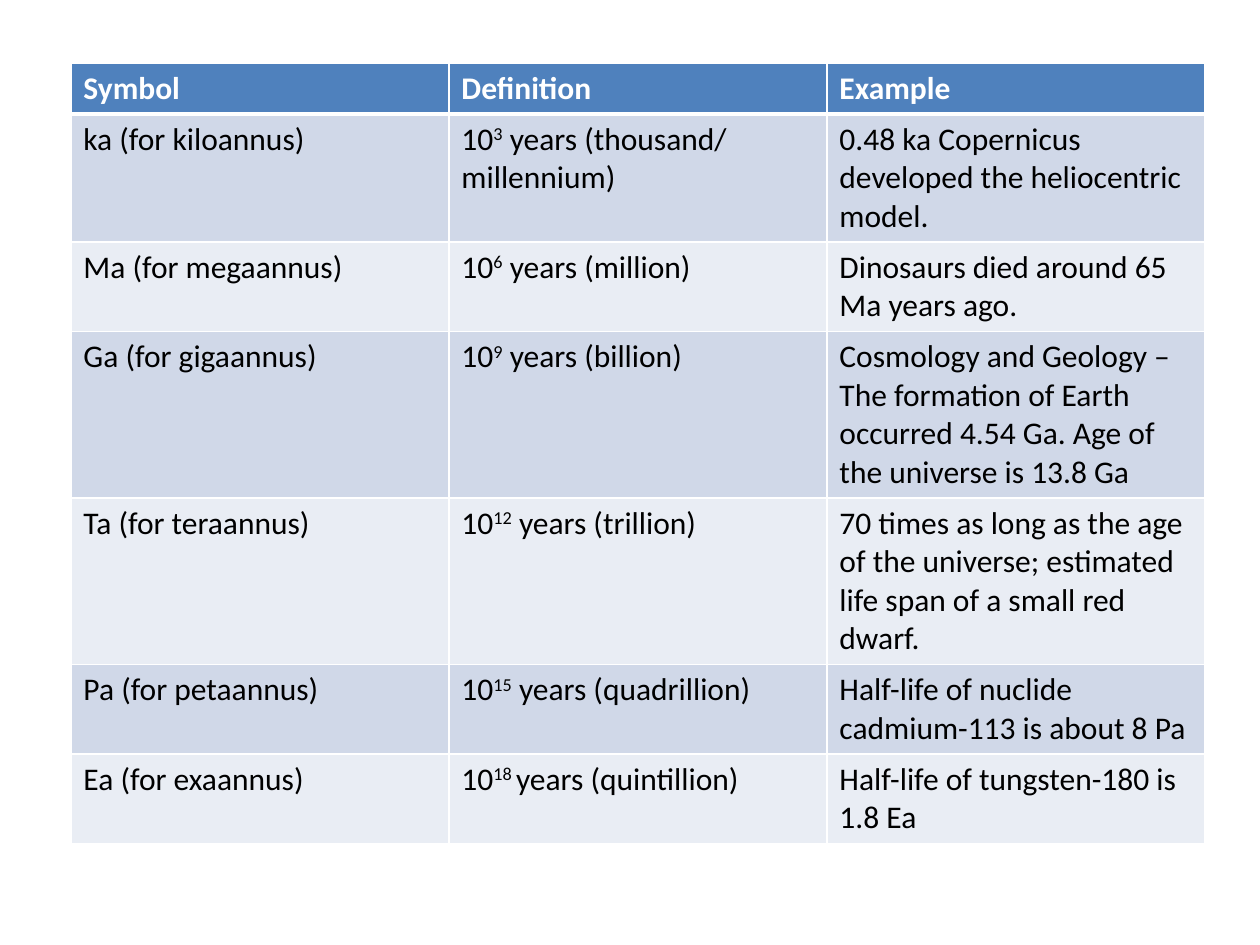
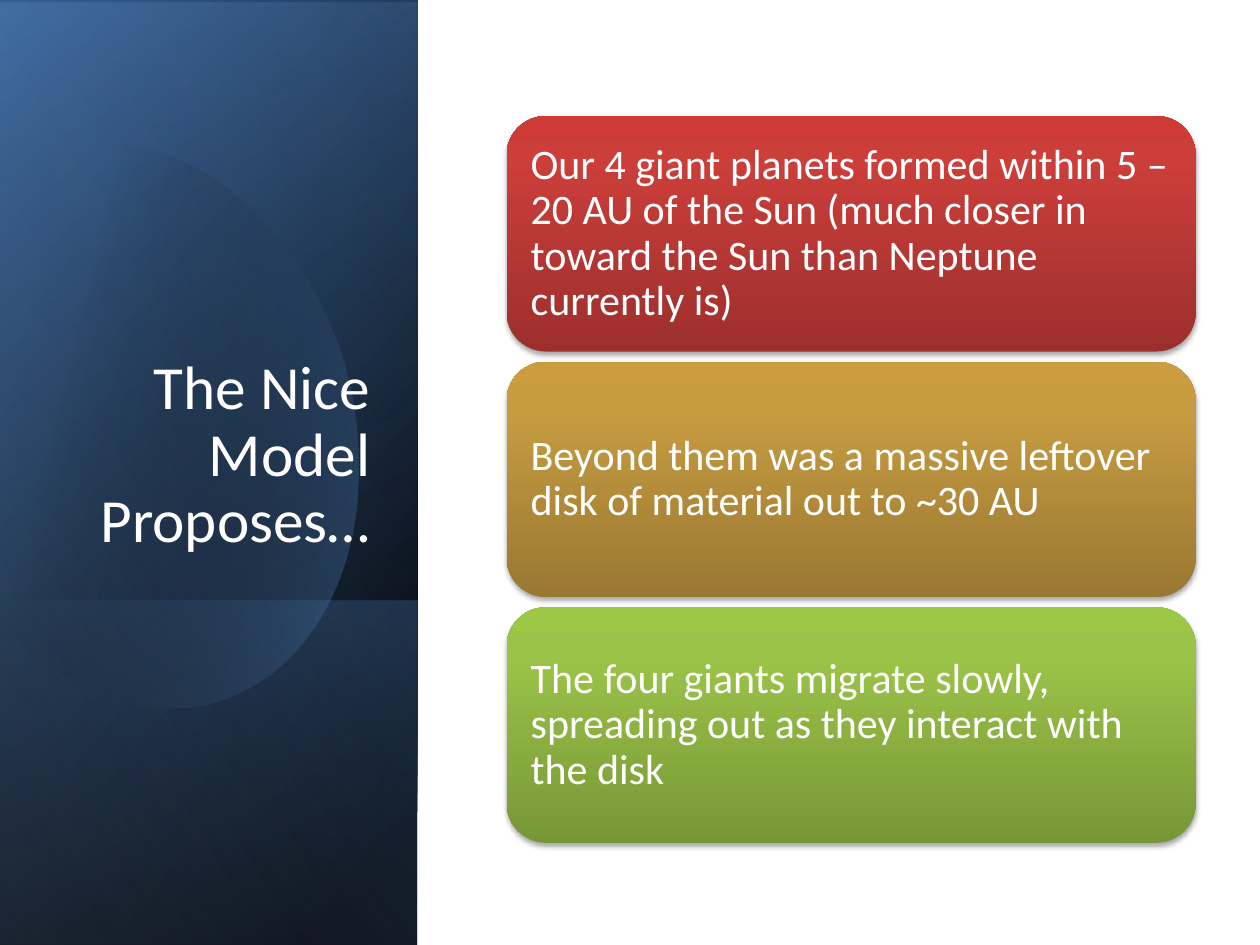
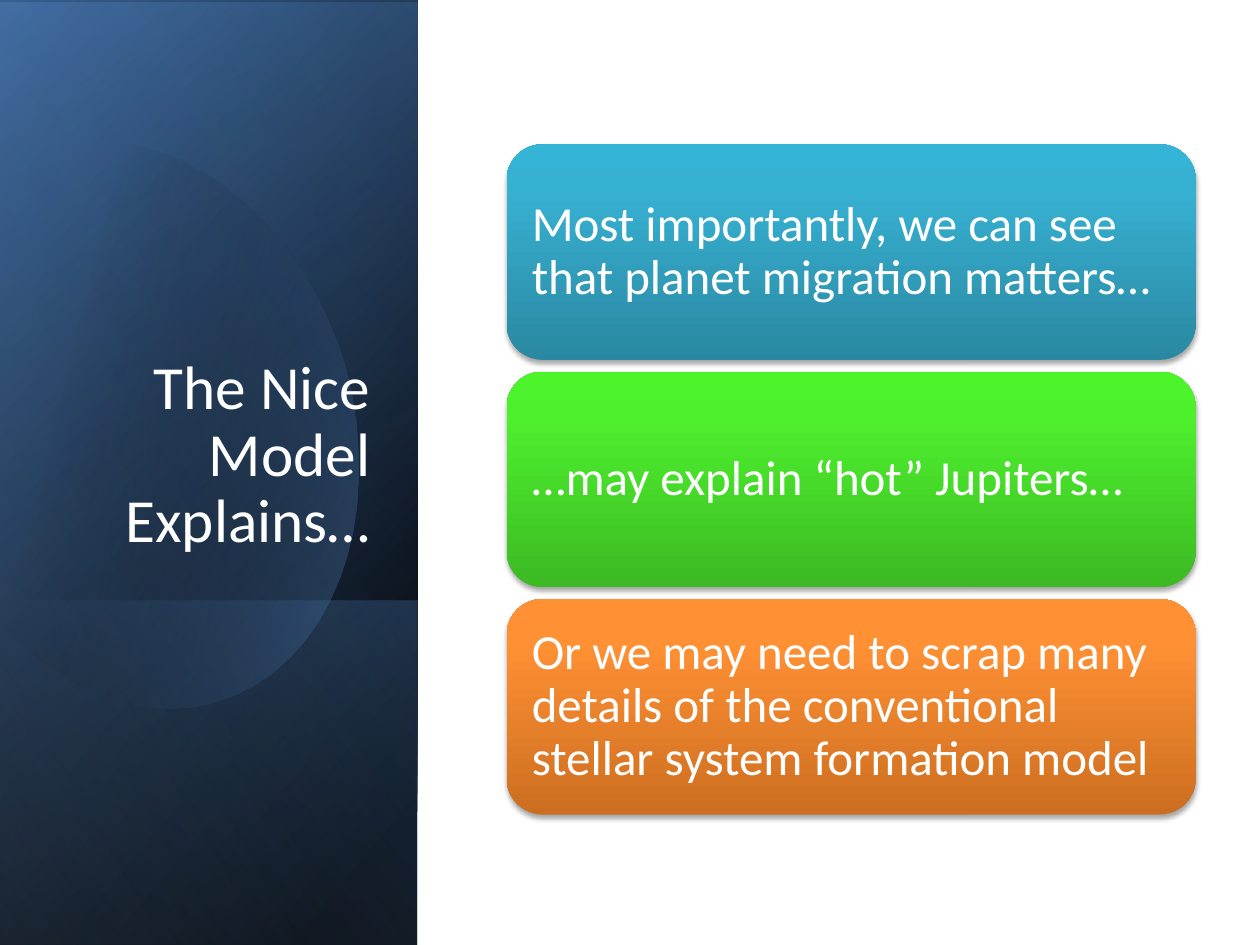
"""Build three slides on geological time units and the Nice model."""
from pptx import Presentation
from pptx.dml.color import RGBColor
from pptx.enum.shapes import MSO_SHAPE
from pptx.enum.text import MSO_ANCHOR, MSO_AUTO_SIZE, PP_ALIGN
from pptx.oxml import parse_xml
from pptx.oxml.ns import nsdecls, qn
from pptx.util import Pt

RECT, ROUNDED = MSO_SHAPE.RECTANGLE, MSO_SHAPE.ROUNDED_RECTANGLE
MIDDLE, BOTTOM = MSO_ANCHOR.MIDDLE, MSO_ANCHOR.BOTTOM
LEFT, RIGHT = PP_ALIGN.LEFT, PP_ALIGN.RIGHT
NO_AUTOFIT = MSO_AUTO_SIZE.NONE
TITLE_ONLY, BLANK = 5, 6

FONT = "Calibri"
WHITE = RGBColor(0xFF, 0xFF, 0xFF)
BLACK = RGBColor(0, 0, 0)
BLUE = RGBColor(0x4F, 0x81, 0xBD)
DARK_BLUE = RGBColor(0x37, 0x60, 0x92)
PALE_BLUE = RGBColor(0x95, 0xB3, 0xD7)
ROW_ODD = RGBColor(0xD0, 0xD8, 0xE8)
ROW_EVEN = RGBColor(0xE9, 0xED, 0xF4)
RED = [RGBColor(0x9C, 0x2F, 0x2D), RGBColor(0xCB, 0x3E, 0x3A), RGBColor(0xCE, 0x3B, 0x37)]
GOLD = [RGBColor(0x99, 0x78, 0x32), RGBColor(0xC7, 0x9C, 0x41), RGBColor(0xCB, 0x9D, 0x3F)]
LIME = [RGBColor(0x77, 0x97, 0x37), RGBColor(0x9B, 0xC3, 0x48), RGBColor(0x9D, 0xC7, 0x46)]
TEAL = [RGBColor(0x2A, 0x88, 0xA2), RGBColor(0x37, 0xB1, 0xD2), RGBColor(0x34, 0xB4, 0xD6)]
GREEN = [RGBColor(0x3C, 0xB9, 0x23), RGBColor(0x4E, 0xF0, 0x2E), RGBColor(0x4C, 0xF5, 0x2A)]
ORANGE = [RGBColor(0xCC, 0x6E, 0x20), RGBColor(0xFF, 0x90, 0x34), RGBColor(0xFF, 0x91, 0x36)]

PANEL_W, SLIDE_H = 238.5, 540
CARD_LEFT, CARD_W, CARDS_MIDDLE = 289.5, 393.8, 274

HEADINGS = ["Symbol", "Definition", "Example"]
UNITS = [
    ("ka (for kiloannus)", ("10", "3", " years (thousand/ millennium)"),
     "0.48 ka Copernicus developed the heliocentric model."),
    ("Ma (for megaannus)", ("10", "6", " years (million)"),
     "Dinosaurs died around 65 Ma years ago."),
    ("Ga (for gigaannus)", ("10", "9", " years (billion)"),
     "Cosmology and Geology – The formation of Earth occurred 4.54 Ga. "
     "Age of the universe is 13.8 Ga"),
    ("Ta (for teraannus)", ("10", "12", " years (trillion)"),
     "70 times as long as the age of the universe; "
     "estimated life span of a small red dwarf."),
    ("Pa (for petaannus)", ("10", "15", " years (quadrillion)"),
     "Half-life of nuclide cadmium-113 is about 8 Pa"),
    ("Ea (for exaannus)", ("10", "18 ", "years (quintillion)"),
     "Half-life of tungsten-180 is 1.8 Ea"),
]
PROPOSALS = [
    ("Our 4 giant planets formed within 5 – 20 AU of the Sun "
     "(much closer in toward the Sun than Neptune currently is)", RED),
    ("Beyond them was a massive leftover disk of material out to ~30 AU", GOLD),
    ("The four giants migrate slowly, spreading out as they interact with the disk", LIME),
]
EXPLANATIONS = [
    ("Most importantly, we can see that planet migration matters…", TEAL),
    ("…may explain “hot” Jupiters…", GREEN),
    ("Or we may need to scrap many details of the conventional "
     "stellar system formation model", ORANGE),
]
BLOB_START = (69, 82)
BLOB_CURVES = [
    [(123, 88), (176, 138), (197, 209)],
    [(221, 297), (189, 382), (123, 401)],
    [(82, 413), (38, 396), (5, 360)],
    [(-2, 351)] * 3,
    [(-18, 120)] * 3,
    [(-11, 111)] * 3,
    [(1, 98), (16, 90), (32, 85)],
    [(45, 81), (57, 81), (69, 82)],
]


def add_run(p, text, size, color, bold=False):
    """Add one formatted run to a paragraph and return it."""
    r = p.add_run()
    r.text = text
    r.font.name, r.font.size, r.font.bold = FONT, Pt(size), bold
    r.font.color.rgb = color
    return r


def fill_gradient(sp, stops, angle):
    """Fill a shape with (position, colour, opacity) stops and no outline."""
    stop_xml = "".join(
        f'<a:gs pos="{pos * 1000}"><a:srgbClr val="{color}">'
        f'<a:alpha val="{opacity * 1000}"/></a:srgbClr></a:gs>'
        for pos, color, opacity in stops)
    sp.fill.gradient()
    sp_pr = sp.element.spPr
    sp_pr.replace(sp_pr.find(qn("a:gradFill")), parse_xml(
        f'<a:gradFill {nsdecls("a")} rotWithShape="1"><a:gsLst>{stop_xml}</a:gsLst>'
        f'<a:lin ang="{angle * 60000}" scaled="0"/></a:gradFill>'))
    sp.line.fill.background()
    sp.shadow.inherit = False


def add_layer(slide, left, top, width, stops, angle):
    """Add one mirrored, turned gradient rectangle of the side panel."""
    sp = slide.shapes.add_shape(RECT, Pt(left), Pt(top), Pt(width), Pt(PANEL_W))
    sp.rotation = 90
    sp.element.spPr.find(qn("a:xfrm")).set("flipH", "1")
    fill_gradient(sp, stops, angle)


def curve_points(start, curves, steps=16):
    """Yield points along a chain of cubic curves."""
    for a, b, end in curves:
        for i in range(1, steps + 1):
            t = i / steps
            u = 1 - t
            yield tuple(Pt(u**3 * s + 3 * u * u * t * m + 3 * u * t * t * n + t**3 * e)
                        for s, m, n, e in zip(start, a, b, end))
        start = end


def add_blob(slide):
    """Add the translucent rounded outline of the side panel."""
    x, y = BLOB_START
    builder = slide.shapes.build_freeform(Pt(x), Pt(y))
    builder.add_line_segments(list(curve_points(BLOB_START, BLOB_CURVES)), close=True)
    fill_gradient(builder.convert_to_shape(), [(29, BLACK, 0), (100, BLUE, 43)], 14)


def add_panel(slide):
    """Add the layered blue panel on the left."""
    left, top = (PANEL_W - SLIDE_H) / 2, (SLIDE_H - PANEL_W) / 2
    add_layer(slide, left, top, SLIDE_H, [(8, BLACK, 100), (100, DARK_BLUE, 100)], 50)
    add_layer(slide, left, top + 1.2, SLIDE_H, [(0, BLACK, 0), (99, BLUE, 46)], 30)
    add_layer(slide, 20.6, 322.5, 197.3, [(2, BLUE, 29), (100, BLACK, 30)], 130)
    add_blob(slide)
    add_layer(slide, left, top, SLIDE_H, [(0, BLACK, 0), (99, PALE_BLUE, 11)], 120)


def set_title(slide, text):
    """Place the title on top of the side panel."""
    sp = slide.shapes.title
    sp.element.getparent().append(sp.element)
    sp.left, sp.top, sp.width, sp.height = Pt(34.5), Pt(132.5), Pt(184.3), Pt(188.6)
    tf = sp.text_frame
    tf.auto_size, tf.vertical_anchor = NO_AUTOFIT, BOTTOM
    p = tf.paragraphs[0]
    p.alignment, p.line_spacing = RIGHT, 0.9
    add_run(p, text, 35, WHITE)


def add_card(slide, top, height, text, colors, size):
    """Add one rounded gradient card with a soft shadow."""
    sp = slide.shapes.add_shape(ROUNDED, Pt(CARD_LEFT), Pt(top), Pt(CARD_W), Pt(height))
    fill_gradient(sp, [(pos, c, 100) for pos, c in zip((0, 80, 100), colors)], 270)
    sp.element.spPr.find(qn("a:effectLst")).append(parse_xml(
        f'<a:outerShdw {nsdecls("a")} blurRad="{Pt(3.1)}" dist="{Pt(1.8)}" dir="5400000" '
        f'rotWithShape="0"><a:srgbClr val="{BLACK}"><a:alpha val="35000"/>'
        '</a:srgbClr></a:outerShdw>'))
    tf = sp.text_frame
    tf.word_wrap, tf.vertical_anchor = True, MIDDLE
    tf.margin_left = tf.margin_right = tf.margin_top = tf.margin_bottom = Pt(size * 0.3)
    p = tf.paragraphs[0]
    p.alignment, p.line_spacing = LEFT, 0.9
    add_run(p, text, size, WHITE)


def add_card_slide(prs, title, cards, height, size):
    """Add a slide with the side panel and a centred stack of cards."""
    slide = prs.slides.add_slide(prs.slide_layouts[TITLE_ONLY])
    add_panel(slide)
    set_title(slide, title)
    gap = size * 0.24
    top = CARDS_MIDDLE - (len(cards) * (height + gap) - gap) / 2
    for i, (text, colors) in enumerate(cards):
        add_card(slide, top + i * (height + gap), height, text, colors, size)


def format_cell(cell, fill, widths):
    """Set white borders of the given widths by side, then the fill."""
    tc_pr = cell._tc.get_or_add_tcPr()
    for side, width in widths.items():
        tc_pr.append(parse_xml(
            f'<a:ln{side} {nsdecls("a")} w="{Pt(width)}"><a:solidFill>'
            f'<a:srgbClr val="{WHITE}"/></a:solidFill></a:ln{side}>'))
    cell.fill.solid()
    cell.fill.fore_color.rgb = fill


def add_units_slide(prs):
    """Add the slide with the table of time units."""
    slide = prs.slides.add_slide(prs.slide_layouts[BLANK])
    table = slide.shapes.add_table(len(UNITS) + 1, len(HEADINGS), Pt(40.5), Pt(36),
                                   Pt(648), Pt(440)).table
    for row in table.rows:
        row.height = Pt(29.2)
    for col, heading in enumerate(HEADINGS):
        cell = table.cell(0, col)
        format_cell(cell, BLUE, {"L": 1, "R": 1, "T": 1, "B": 3})
        add_run(cell.text_frame.paragraphs[0], heading, 18, WHITE, bold=True)
    for row, unit in enumerate(UNITS, 1):
        for col, content in enumerate(unit):
            cell = table.cell(row, col)
            format_cell(cell, ROW_ODD if row % 2 else ROW_EVEN,
                        {"L": 1, "R": 1, "T": 3 if row == 1 else 1, "B": 1})
            p = cell.text_frame.paragraphs[0]
            parts = (content,) if isinstance(content, str) else content
            for i, part in enumerate(parts):
                r = add_run(p, part, 18, BLACK)
                if i == 1:
                    r.font._element.set("baseline", "30000")


def main():
    """Build and save the presentation."""
    prs = Presentation()
    prs.slide_width, prs.slide_height = Pt(720), Pt(SLIDE_H)
    add_units_slide(prs)
    add_card_slide(prs, "The Nice Model Proposes…", PROPOSALS, 134.6, 24)
    add_card_slide(prs, "The Nice Model Explains…", EXPLANATIONS, 123.2, 28)
    prs.save("out.pptx")


if __name__ == "__main__":
    main()
